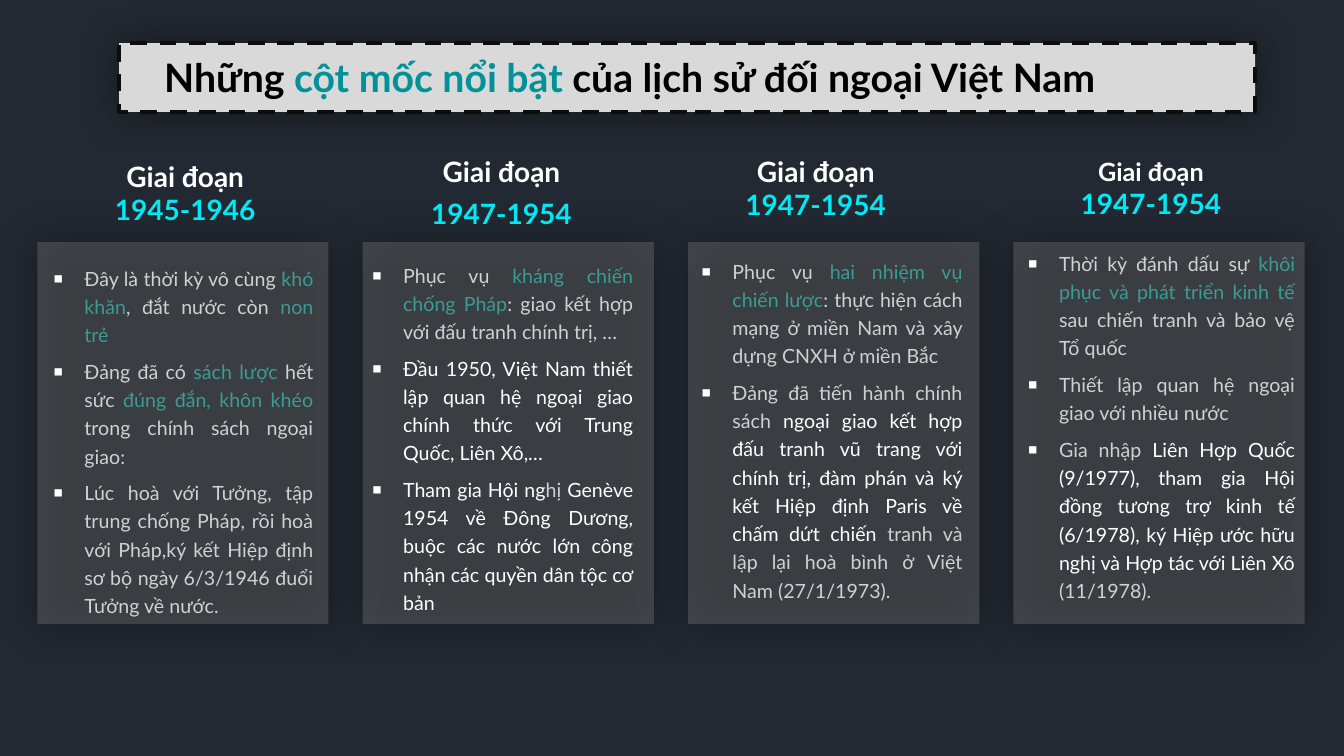
"""Build a slide on the milestones of Vietnamese diplomatic history."""
from dataclasses import dataclass
from lxml.etree import SubElement
from pptx import Presentation
from pptx.dml.color import RGBColor
from pptx.enum.dml import MSO_LINE
from pptx.enum.shapes import MSO_SHAPE
from pptx.enum.text import MSO_AUTO_SIZE, PP_ALIGN
from pptx.oxml.ns import qn
from pptx.util import Cm, Pt


@dataclass(frozen=True)
class Theme:
    font: str = "Lato"
    back: str = "232932"
    bar: str = "D9D9D9"
    edge: str = "0D0D0D"
    card: str = "7F7F7F"
    black: str = "000000"
    white: str = "FFFFFF"
    grey: str = "D1D1D1"
    teal: str = "3A9C95"
    deep: str = "019299"
    cyan: str = "01E9F5"
    title: int = 28
    head: int = 20
    small: int = 18
    body: int = 14


theme = Theme()
rgb = RGBColor.from_string

deck = Presentation()
deck.slide_width, deck.slide_height = Cm(33.87), Cm(19.05)
slide = deck.slides.add_slide(deck.slide_layouts[6])
slide.background.fill.solid()
slide.background.fill.fore_color.rgb = rgb(theme.back)


def add_rect(place, fill, alpha, blur):
    rect = slide.shapes.add_shape(MSO_SHAPE.RECTANGLE, *map(Cm, place))
    rect.fill.solid()
    rect.fill.fore_color.rgb = rgb(fill)
    rect.line.fill.background()
    rect.shadow.inherit = False
    glow = SubElement(rect._element.spPr.find(qn("a:effectLst")), qn("a:outerShdw"),
                      blurRad=str(Pt(blur)), dist="0", dir="0", algn="ctr", rotWithShape="0")
    tint = SubElement(glow, qn("a:srgbClr"), val=theme.black)
    SubElement(tint, qn("a:alpha"), val=str(alpha * 1000))
    return rect


def add_text(place, paras, size, align, color, bold=False, indent=0, bullet=False, gap=0):
    box = slide.shapes.add_textbox(*map(Cm, place))
    frame = box.text_frame
    frame.word_wrap = True
    frame.auto_size = MSO_AUTO_SIZE.SHAPE_TO_FIT_TEXT
    for order, runs in enumerate(paras):
        para = frame.paragraphs[0] if order == 0 else frame.add_paragraph()
        para.alignment = align
        props = para._p.get_or_add_pPr()
        if indent:
            props.set("marL", str(Cm(indent)))
        if bullet:
            props.set("indent", str(-Cm(indent)))
            para.line_spacing = 1.2
            SubElement(SubElement(props, qn("a:buClr")), qn("a:srgbClr"), val=theme.white)
            SubElement(props, qn("a:buSzPct"), val="150000")
            SubElement(props, qn("a:buFont"), typeface="Arial")
            SubElement(props, qn("a:buChar"), char="▪")
        if order:
            para.space_before = Pt(gap)
        para.font.name, para.font.size, para.font.bold = theme.font, Pt(size), bold
        para.font.color.rgb = rgb(color)
        for text, *tone in runs:
            run = para.add_run()
            run.text = text
            if tone:
                run.font.color.rgb = rgb(tone[0])
    return frame


bar = add_rect((3, 1.09, 28.63, 1.73), theme.bar, 40, 28)
bar.line.color.rgb = rgb(theme.edge)
bar.line.width = Pt(3)
bar.line.dash_style = MSO_LINE.DASH

title = [("Những ",), ("cột mốc nổi bật ", theme.deep), ("của lịch sử đối ngoại Việt Nam",)]
add_text((2.62, 1.22, 29.44, 1.45), [title], theme.title, PP_ALIGN.JUSTIFY, theme.black,
         bold=True, indent=1.27)

heads = [
    ("1945-1946", (1.09, 3.89, 7.16, 1.96), 0),
    ("1947-1954", (8.97, 3.76, 7.34, 2.18), 6),
    ("1947-1954", (16.28, 3.76, 8.56, 1.96), 0),
    ("1947-1954", (25.22, 3.81, 7.57, 1.88), 0),
]

notes = [
    ((1.09, 6.48, 7.06, 9.98), [
        [("Đây là thời kỳ vô cùng ",), ("khó khăn", theme.teal), (", đắt nước còn ",),
         ("non trẻ", theme.teal)],
        [("Đảng đã có ",), ("sách lược ", theme.teal), ("hết sức ",),
         ("đúng đắn, khôn khéo ", theme.teal), ("trong chính sách ngoại giao:",)],
        [("Lúc hoà với Tưởng, tập trung chống Pháp, rồi hoà với Pháp,ký kết Hiệp định "
          "sơ bộ ngày 6/3/1946 đuổi Tưởng về nước.",)],
    ]),
    ((9.12, 6.4, 7.09, 9.22), [
        [("Phục vụ ",), ("kháng chiến chống Pháp", theme.teal),
         (": giao kết hợp với đấu tranh chính trị, …",)],
        [("Đầu 1950, Việt Nam thiết lập quan hệ ngoại giao chính thức với Trung Quốc, "
          "Liên Xô,…", theme.white)],
        [("Tham gia Hội ng", theme.white), ("hị ",),
         ("Genève 1954 về Đông Dương, buộc các nước lớn công nhận các quyền dân tộc cơ bản",
          theme.white)],
    ]),
    ((17.42, 6.3, 7.09, 9.02), [
        [("Phục vụ ",), ("hai nhiệm vụ chiến lược", theme.teal),
         (": thực hiện cách mạng ở miền Nam và xây dựng CNXH ở miền Bắc",)],
        [("Đảng đã tiến hành chính sách ",),
         ("ngoại giao kết hợp đấu tranh vũ trang với chính trị, đàm phán và ký kết "
          "Hiệp định Paris về chấm dứt chiến ", theme.white),
         ("tranh và lập lại hoà bình ở Việt Nam (27/1/1973).",)],
    ]),
    ((25.65, 6.1, 7.24, 10.21), [
        [("Thời kỳ đánh dấu sự ",), ("khôi phục và phát triển kinh tế ", theme.teal),
         ("sau chiến tranh và bảo vệ Tổ quốc",)],
        [("Thiết lập quan hệ ngoại giao với nhiều nước",)],
        [("Gia nhập ",),
         ("Liên Hợp Quốc (9/1977), tham gia Hội đồng tương trợ kinh tế (6/1978), "
          "ký Hiệp ước hữu nghị và Hợp tác với Liên Xô ", theme.white),
         ("(11/1978).",)],
    ]),
]

for col, ((years, spot, gap), (place, paras)) in enumerate(zip(heads, notes)):
    add_rect((0.94 + 8.2 * col, 6.1, 7.34, 9.63), theme.card, 100, 30)
    card = slide.shapes[-1]
    tint = card._element.spPr.find(qn("a:solidFill")).find(qn("a:srgbClr"))
    SubElement(tint, qn("a:alpha"), val="35000")
    head = add_text(spot, [[("Giai đoạn",)], [(years, theme.cyan)]], theme.head,
                    PP_ALIGN.CENTER, theme.white, bold=True, gap=gap)
    if col == 3:
        head.paragraphs[0].font.size = Pt(theme.small)
    add_text(place, paras, theme.body, PP_ALIGN.JUSTIFY, theme.grey, indent=0.79,
             bullet=True, gap=6)

deck.save("out.pptx")
